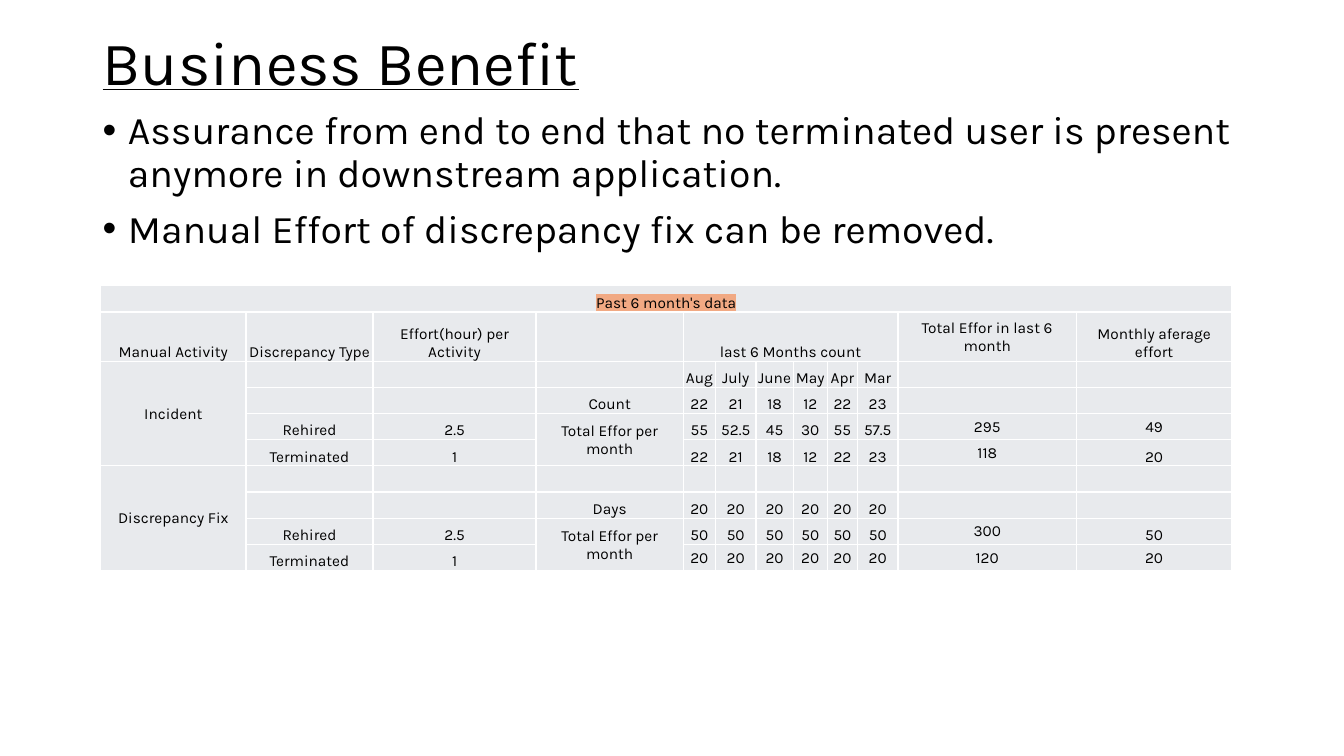
from lxml.etree import SubElement
from pptx import Presentation
from pptx.dml.color import RGBColor
from pptx.enum.text import MSO_ANCHOR as Anchor, PP_ALIGN as Align
from pptx.oxml.ns import qn
from pptx.util import Cm, Pt

FONT = "Karla"
BLACK, WHITE, GRAY, ORANGE = "000000", "FFFFFF", "E8EAED", "F1A983"


def rgb(color):
    return RGBColor.from_string(color)


def style_run(r, size):
    r.font.name = FONT
    r.font.size = Pt(size)
    r.font.color.rgb = rgb(BLACK)


prs = Presentation()
prs.slide_width, prs.slide_height = Cm(33.87), Cm(19.05)
s = prs.slides.add_slide(prs.slide_layouts[6])

# Title
tf = s.shapes.add_textbox(Cm(2.34), Cm(0.64), Cm(25.76), Cm(2.03)).text_frame
tf.word_wrap = True
tf.vertical_anchor = Anchor.MIDDLE
tf.text = "Business Benefit"
p = tf.paragraphs[0]
p.line_spacing = 0.9
style_run(p.runs[0], 44)
p.runs[0].font.underline = True

# Benefits
tf = s.shapes.add_textbox(Cm(2.34), Cm(2.67), Cm(29.21), Cm(12.09)).text_frame
tf.word_wrap = True
tf.text = (
    "Assurance from end to end that no terminated user is present anymore in downstream application.\n"
    "Manual Effort of discrepancy fix can be removed."
)
for p in tf.paragraphs:
    p.line_spacing = 0.9
    p.space_before = Pt(10)
    style_run(p.runs[0], 28)
    pPr = p._p.get_or_add_pPr()
    pPr.set("marL", str(Cm(0.635)))
    pPr.set("indent", str(-Cm(0.635)))
    SubElement(pPr, qn("a:buFont"), typeface="Arial")
    SubElement(pPr, qn("a:buChar"), char="•")

# Effort table
BLANK = [""]
rows = [
    ["Past 6 month's data"] + BLANK * 11,
    ["Manual Activity", "Discrepancy Type", "Effort(hour) per Activity", "",
     "last 6 Months count"] + BLANK * 5 + ["Total Effor in last 6 month", "Monthly aferage effort"],
    ["Incident", "", "", "", "Aug", "July", "June", "May", "Apr", "Mar", "", ""],
    ["", "", "", "Count", "22", "21", "18", "12", "22", "23", "", ""],
    ["", "Rehired", "2.5", "Total Effor per month",
     "55", "52.5", "45", "30", "55", "57.5", "295", "49"],
    ["", "Terminated", "1", "", "22", "21", "18", "12", "22", "23", "118", "20"],
    ["Discrepancy Fix"] + BLANK * 11,
    ["", "", "", "Days"] + ["20"] * 6 + BLANK * 2,
    ["", "Rehired", "2.5", "Total Effor per month"] + ["50"] * 6 + ["300", "50"],
    ["", "Terminated", "1", ""] + ["20"] * 6 + ["120", "20"],
]
col_widths = [3.66, 3.2, 4.11, 3.71, 0.81, 1.02, 0.94, 0.86, 0.76, 1.02, 4.5, 3.91]
row_heights = [0.66, 1.24] + [0.66] * 8
merges = [(0, 0, 0, 11), (1, 4, 1, 9), (2, 0, 5, 0), (6, 0, 9, 0), (4, 3, 5, 3), (8, 3, 9, 3)]
middle_cells = {(2, 0), (6, 0), (4, 3), (8, 3), (4, 11)}
middle_cells |= {(row, 10) for row in (1, 4, 5, 8)} | {(9, col) for col in range(4, 12)}

table = s.shapes.add_table(
    len(rows), len(col_widths), Cm(2.54), Cm(7.2), Cm(sum(col_widths)), Cm(sum(row_heights))
).table
table.first_row = table.horz_banding = False
for column, width in zip(table.columns, col_widths):
    column.width = Cm(width)
for row, height in zip(table.rows, row_heights):
    row.height = Cm(height)

for i, texts in enumerate(rows):
    for j, text in enumerate(texts):
        cell = table.cell(i, j)
        cell.margin_left = cell.margin_right = cell.margin_top = Cm(0.02)
        cell.margin_bottom = 0
        cell.vertical_anchor = Anchor.MIDDLE if (i, j) in middle_cells else Anchor.BOTTOM
        tcPr = cell._tc.get_or_add_tcPr()
        for side in ("lnL", "lnR", "lnT", "lnB"):
            ln = SubElement(tcPr, qn(f"a:{side}"), w=str(Pt(1)))
            SubElement(SubElement(ln, qn("a:solidFill")), qn("a:srgbClr"), val=WHITE)
        cell.fill.solid()
        cell.fill.fore_color.rgb = rgb(GRAY)
        p = cell.text_frame.paragraphs[0]
        p.alignment = Align.CENTER
        if text:
            p.text = text
            style_run(p.runs[0], 11)
        else:
            SubElement(p._p, qn("a:endParaRPr"), sz="1100")

for top, left, bottom, right in merges:
    table.cell(top, left).merge(table.cell(bottom, right))

# Highlight behind the table heading
rPr = table.cell(0, 0).text_frame.paragraphs[0].runs[0].font._element
highlight = SubElement(rPr, qn("a:highlight"))
SubElement(highlight, qn("a:srgbClr"), val=ORANGE)
rPr.find(qn("a:solidFill")).addnext(highlight)

prs.save("out.pptx")
